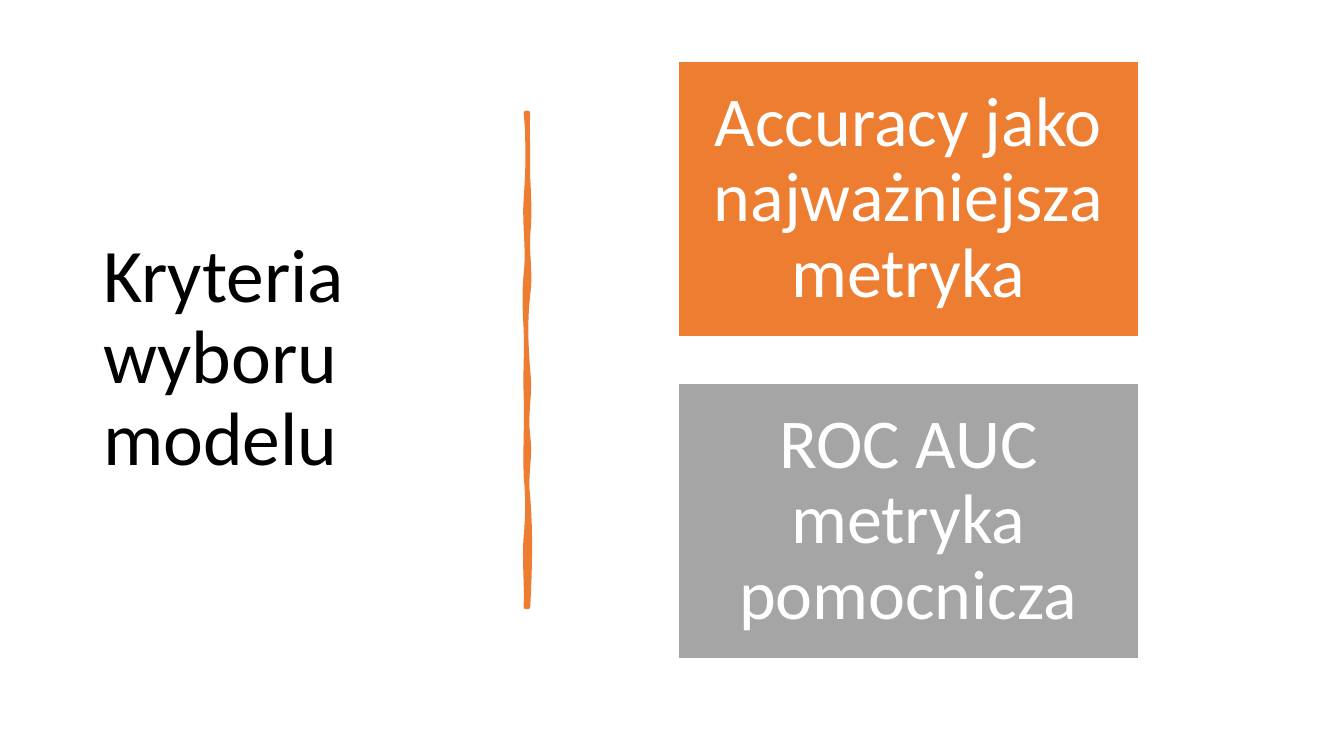
from pptx import Presentation
from pptx.dml.color import RGBColor
from pptx.enum.shapes import MSO_SHAPE
from pptx.enum.text import MSO_ANCHOR, MSO_AUTO_SIZE, PP_ALIGN
from pptx.util import Pt

PX = 914400 / 100.8
FONT = "Calibri"
ORANGE, GREY, WHITE, BLACK = "ED7D31", "A5A5A5", "FFFFFF", "000000"
STEPS = 8
RIGHT_YS = [0, 65, 122, 182, 258, 323, 384, 494]
RIGHT_BENDS = [(3, 4), (5, 6), (3, 7), (1, 2), (7, 1), (7, 1), (7, 6)]
LEFT_YS = [494, 423, 363, 282, 217, 161, 86, 0]
LEFT_BENDS = [(3, 0), (4, 4), (1, 3), (1, 3), (1, 0), (5, 0), (4, 5)]


def px(n):
    """Turn pixels into EMU."""
    return round(n * PX)


def paint(fmt, color):
    """Give a fill or a font colour format a hex colour."""
    fmt.rgb = RGBColor.from_string(color)


def style(shape, fill, line, width):
    """Set fill and outline and drop the shadow."""
    shape.shadow.inherit = False
    shape.fill.solid()
    paint(shape.fill.fore_color, fill)
    paint(shape.line.color, line)
    shape.line.width = Pt(width)


def write(tf, text, size, color, align):
    """Write one centred-in-height paragraph into a text frame."""
    tf.word_wrap = True
    tf.auto_size = MSO_AUTO_SIZE.NONE
    tf.vertical_anchor = MSO_ANCHOR.MIDDLE
    p = tf.paragraphs[0]
    p.alignment = align
    p.line_spacing = 0.9
    r = p.add_run()
    r.text = text
    r.font.name = FONT
    r.font.size = Pt(size)
    paint(r.font.color, color)


def add_title(s, x, y, w, h, text):
    """Place the slide title in its box."""
    sp = s.shapes.title
    sp.left, sp.top, sp.width, sp.height = px(x), px(y), px(w), px(h)
    write(sp.text_frame, text, 54, BLACK, PP_ALIGN.LEFT)


def wavy_edge(x, edge, ys, bends):
    """Sample one edge of the brush stroke as cubic curves."""
    points = []
    for y0, y1, (a, b) in zip(ys, ys[1:], bends):
        for i in range(STEPS + 1):
            t = i / STEPS
            u = 1 - t
            dx = edge * (u ** 3 + t ** 3) + 3 * u * t * (a * u + b * t)
            points.append((x + dx, y0 + (y1 - y0) * t))
    return points


def add_brush_stroke(s, x, y):
    """Draw the hand-drawn divider from its top left corner."""
    points = wavy_edge(x, 4, RIGHT_YS, RIGHT_BENDS)
    points += wavy_edge(x, 2, LEFT_YS, LEFT_BENDS)
    points = [(px(a), px(y + b)) for a, b in points]
    fb = s.shapes.build_freeform(*points[0])
    fb.add_line_segments(points[1:], close=True)
    style(fb.convert_to_shape(), ORANGE, ORANGE, 3.25)


def add_cards(s, x, y, w, h, gap, cards):
    """Stack equal cards with even gaps in the given box."""
    card_h = (h - gap * (len(cards) - 1)) / len(cards)
    for i, (text, fill) in enumerate(cards):
        top = y + i * (card_h + gap)
        sp = s.shapes.add_shape(MSO_SHAPE.RECTANGLE, px(x), px(top), px(w), px(card_h))
        style(sp, fill, WHITE, 1)
        tf = sp.text_frame
        tf.margin_left = tf.margin_right = tf.margin_top = tf.margin_bottom = px(21)
        write(tf, text, 50, WHITE, PP_ALIGN.CENTER)


def main():
    """Build and save the slide."""
    prs = Presentation()
    prs.slide_width, prs.slide_height = px(1344), px(756)
    s = prs.slides.add_slide(prs.slide_layouts[5])
    add_title(s, 93, 60, 397, 599, "Kryteria wyboru modelu")
    add_brush_stroke(s, 524, 113)
    add_cards(s, 678, 61, 461, 598, 46, [
        ("Accuracy jako najważniejsza metryka", ORANGE),
        ("ROC AUC metryka pomocnicza", GREY),
    ])
    prs.save("out.pptx")


if __name__ == "__main__":
    main()
